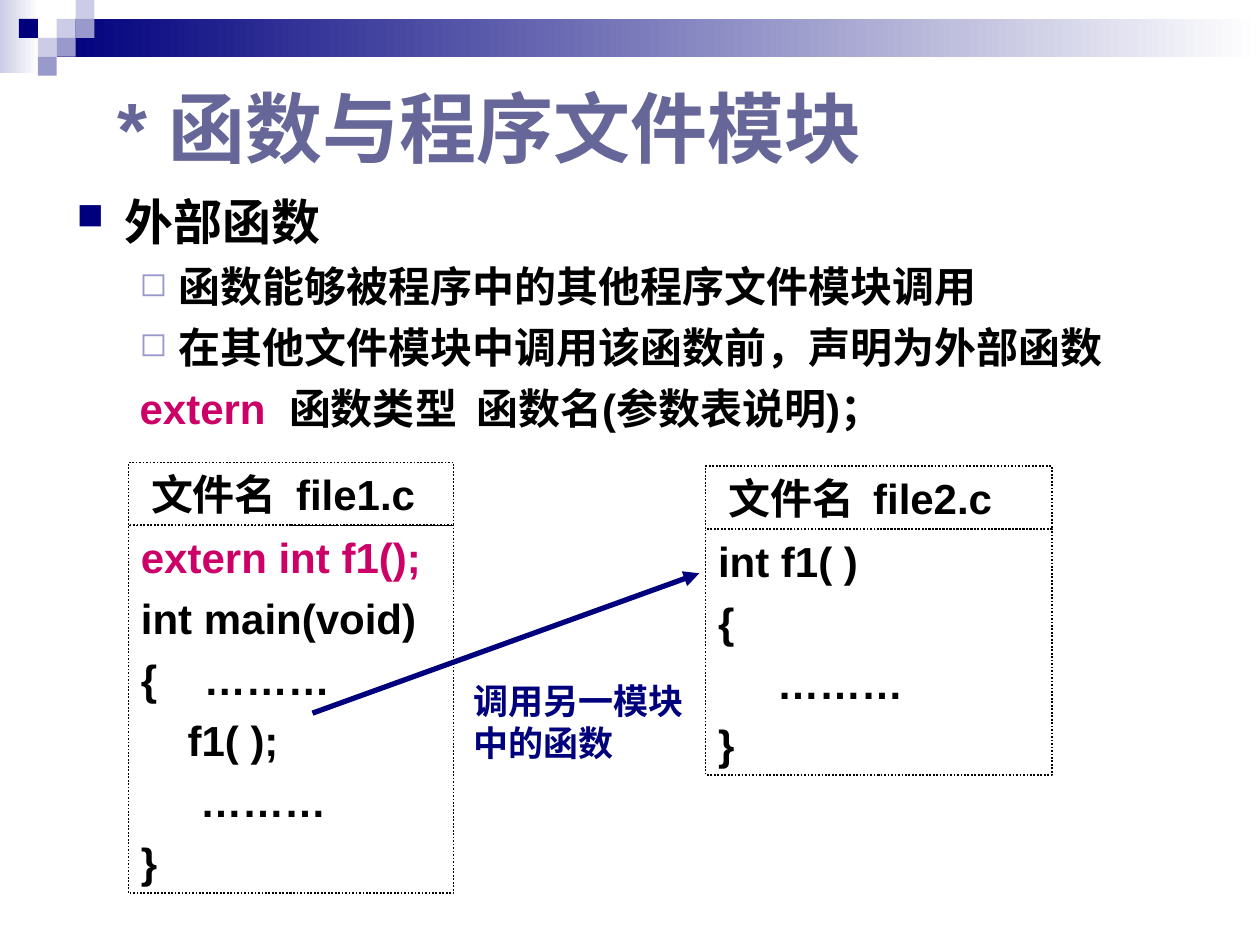
"""Build a slide about external functions and program file modules."""
import pptx
import pptx.dml.color
import pptx.enum.dml
import pptx.enum.shapes
import pptx.enum.text
import pptx.oxml
import pptx.oxml.ns
import pptx.util
from lxml import etree
from pptx.util import Inches

NAVY, LILAC, PERIWINKLE, MAGENTA, BLACK = "00007D", "CCCCE6", "9999CC", "CC0066", "000000"
RECTANGLE = pptx.enum.shapes.MSO_SHAPE.RECTANGLE
color = pptx.dml.color.RGBColor.from_string


def write_lines(frame, lines, size, hex_color=BLACK):
    """Write (text, options) lines in bold Arial."""
    frame.word_wrap = True
    frame.vertical_anchor = pptx.enum.text.MSO_ANCHOR.TOP
    for index, (text, options) in enumerate(lines):
        paragraph = frame.paragraphs[0] if index == 0 else frame.add_paragraph()
        paragraph.text = text
        paragraph.alignment = pptx.enum.text.PP_ALIGN.LEFT
        if index:
            paragraph.space_before = pptx.util.Pt(6)
        properties = paragraph._p.get_or_add_pPr()
        properties.set("marL", str(Inches(options.get("margin", 0))))
        properties.set("indent", str(Inches(options.get("indent", 0))))
        if "bullet" in options:
            character, bullet_color, percent = options["bullet"]
            bullet_fill = etree.SubElement(properties, pptx.oxml.ns.qn("a:buClr"))
            etree.SubElement(bullet_fill, pptx.oxml.ns.qn("a:srgbClr"), val=bullet_color)
            etree.SubElement(properties, pptx.oxml.ns.qn("a:buSzPct"), val=str(percent * 1000))
            etree.SubElement(properties, pptx.oxml.ns.qn("a:buChar"), char=character)
        else:
            etree.SubElement(properties, pptx.oxml.ns.qn("a:buNone"))
        if "tab" in options:
            tab_list = etree.SubElement(properties, pptx.oxml.ns.qn("a:tabLst"))
            etree.SubElement(tab_list, pptx.oxml.ns.qn("a:tab"), pos=str(Inches(options["tab"])), algn="l")
        font = paragraph.font
        font.name = "Arial"
        font.bold = True
        font.size = pptx.util.Pt(options.get("size", size))
        font.color.rgb = color(options.get("color", hex_color))


def add_rectangle(left, top, width, height):
    """Add a rectangle without shadow, line or fill."""
    shape = slide.shapes.add_shape(RECTANGLE, Inches(left), Inches(top), Inches(width), Inches(height))
    shape.shadow.inherit = False
    shape.fill.background()
    shape.line.fill.background()
    return shape


presentation = pptx.Presentation()
presentation.slide_width, presentation.slide_height = Inches(10), Inches(7.5)
slide = presentation.slides.add_slide(presentation.slide_layouts[5])

for left, top, width, height, start in [(0, 0, 0.31, 0.58, LILAC), (0.45, 0.15, 9.55, 0.3, NAVY)]:
    band = add_rectangle(left, top, width, height)
    band.fill.gradient()
    band.fill.gradient_angle = 0
    for stop, stop_color in zip(band.fill.gradient_stops, (start, "FFFFFF")):
        stop.color.rgb = color(stop_color)

for column, row, square_color in [
    (3, 1, LILAC), (4, 0, LILAC), (4, 1, PERIWINKLE), (2, 2, LILAC),
    (1, 1, NAVY), (3, 2, PERIWINKLE), (2, 3, PERIWINKLE),
]:
    square = add_rectangle(column * 0.15, row * 0.15, 0.15, 0.15)
    square.fill.solid()
    square.fill.fore_color.rgb = color(square_color)

title = slide.shapes.title
title.left, title.top, title.width, title.height = Inches(0.83), Inches(0.52), Inches(8.16), Inches(0.97)
write_lines(title.text_frame, [("* 函数与程序文件模块", {})], 44, "666699")
title.text_frame.vertical_anchor = pptx.enum.text.MSO_ANCHOR.MIDDLE
title.text_frame.auto_size = pptx.enum.text.MSO_AUTO_SIZE.NONE

body = slide.shapes.add_textbox(Inches(0.51), Inches(1.47), Inches(8.9), Inches(2.05))
sub_item = {"margin": 0.81, "indent": -0.31, "bullet": ("◻", PERIWINKLE, 80)}
write_lines(body.text_frame, [
    ("外部函数", {"size": 28, "margin": 0.38, "indent": -0.38, "bullet": ("■", NAVY, 75)}),
    ("函数能够被程序中的其他程序文件模块调用", sub_item),
    ("在其他文件模块中调用该函数前，声明为外部函数", sub_item),
    ("extern  ", {"margin": 0.5}),
], 24)
syntax = body.text_frame.paragraphs[-1]
syntax.runs[0].font.color.rgb = color(MAGENTA)
syntax.add_run().text = "函数类型  函数名(参数表说明)；"

ellipsis_line = ("………", {"margin": 0.47})
caller_code = [
    ("extern int f1();", {"color": MAGENTA}),
    ("int main(void)", {}),
    ("{\t………", {"tab": 0.51}),
    ("f1( );", {"margin": 0.37}),
    ellipsis_line,
    ("}", {}),
]
callee_code = [("int f1( )", {}), ("{", {}), ellipsis_line, ("}", {})]
for file_name, left, top, width, code_height, code in [
    ("file1.c", 1.02, 3.67, 2.58, 2.92, caller_code),
    ("file2.c", 5.6, 3.7, 2.75, 1.95, callee_code),
]:
    header = [(f"文件名  {file_name}", {"margin": 0.08})]
    for box_top, box_height, lines in [(top + 0.5, code_height, code), (top, 0.5, header)]:
        box = add_rectangle(left, box_top, width, box_height)
        box.line.color.rgb = color(BLACK)
        box.line.width = pptx.util.Pt(1)
        box.line.dash_style = pptx.enum.dml.MSO_LINE.ROUND_DOT
        write_lines(box.text_frame, lines, 24)

label = slide.shapes.add_textbox(Inches(3.66), Inches(5.34), Inches(2), Inches(0.77))
write_lines(label.text_frame, [("调用另一模块中的函数", {})], 20, NAVY)

arrow = slide.shapes.add_connector(
    pptx.enum.shapes.MSO_CONNECTOR.STRAIGHT, Inches(5.55), Inches(4.55), Inches(2.48), Inches(5.66))
arrow.line.color.rgb = color(NAVY)
arrow.line.width = pptx.util.Pt(3)
arrow_properties = arrow.element.spPr
etree.SubElement(arrow_properties.find(pptx.oxml.ns.qn("a:ln")), pptx.oxml.ns.qn("a:headEnd"), type="triangle")
etree.SubElement(arrow_properties, pptx.oxml.ns.qn("a:effectLst"))

presentation.save("out.pptx")
